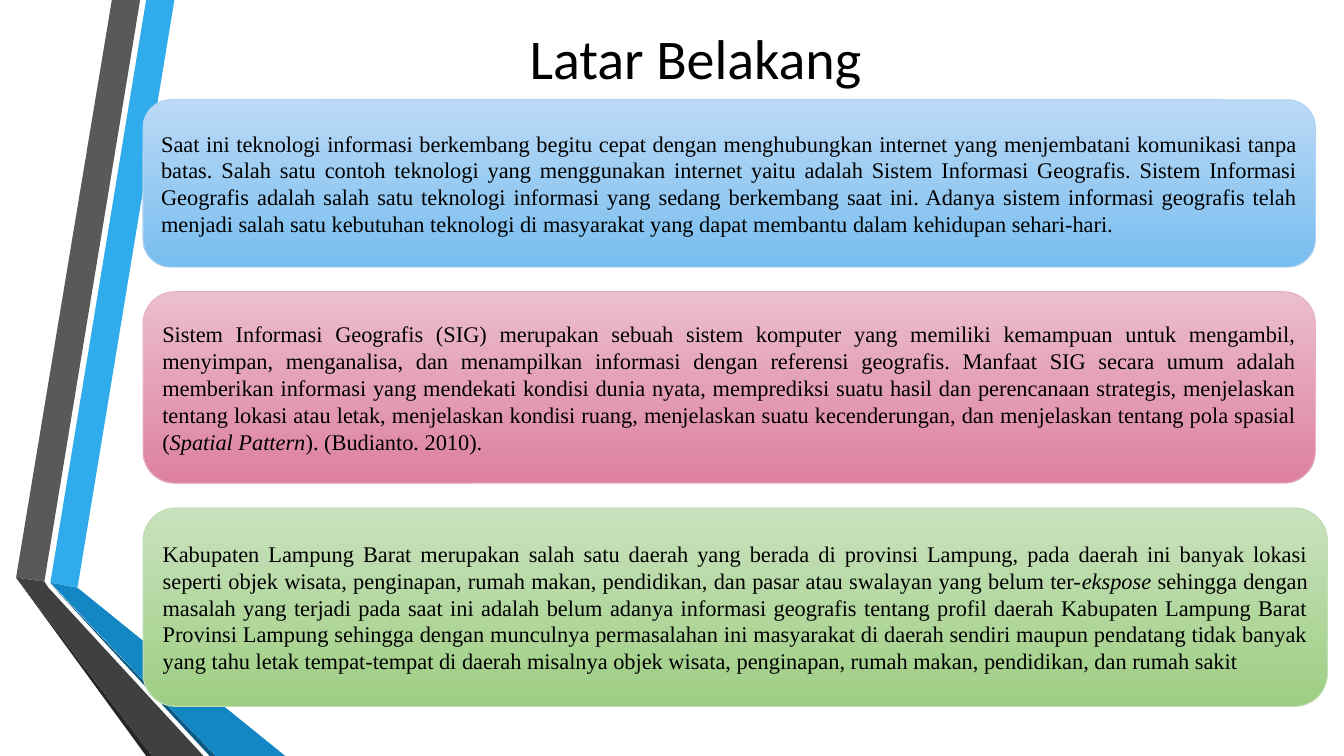
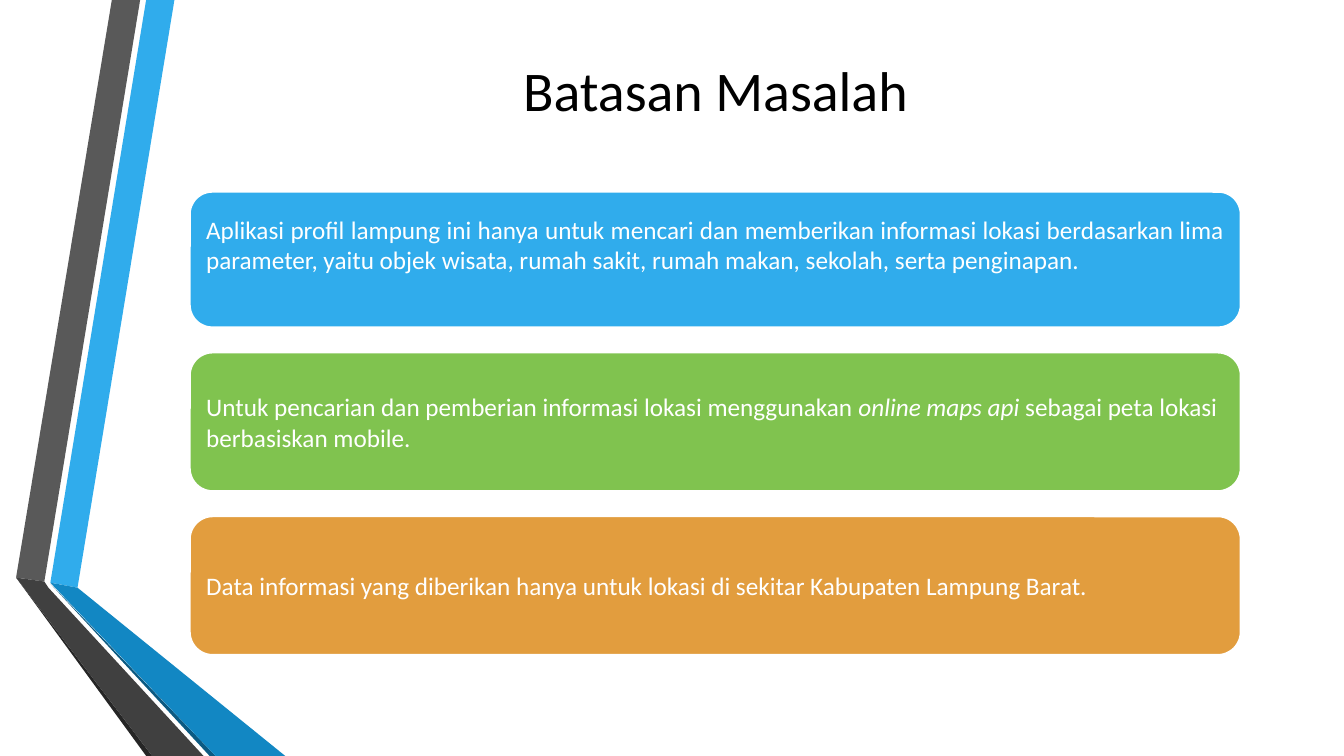
"""Builds two slides of rounded text panels beside a folded ribbon."""
from pptx import Presentation
from pptx.dml.color import RGBColor
from pptx.enum.shapes import MSO_SHAPE as SHAPE
from pptx.enum.text import MSO_ANCHOR as ANCHOR, PP_ALIGN as ALIGN
from pptx.util import Pt

COLORS = {
    "black": "000000", "white": "FFFFFF",
    "sky": "30ACEC", "gray": "595959", "coal": "262626",
    "navy": "0C5A82", "ocean": "1287C3", "slate": "404040",
    "green": "80C34F", "orange": "E29D3E",
    "blue_top": "BCDAF6", "blue_end": "78BDEF", "blue_line": "AED2F4",
    "pink_top": "EBBECD", "pink_end": "DD80A2", "pink_line": "E8B1C3",
    "leaf_top": "C9E2BE", "leaf_end": "9ECE83", "leaf_line": "C0DEB3",
}

RIBBONS = [
    ("sky", [(36, 416.2), (55.4, 419.8), (124.6, 0), (104.4, 0)]),
    ("gray", [(100.1, 0), (79.9, 0), (11.5, 412.6), (31.7, 415.4)]),
    ("coal", [(11.5, 412.6), (104.4, 540), (108.7, 540)]),
    ("navy", [(36, 416.9), (149.8, 540), (154.1, 540)]),
    ("ocean", [(36, 416.2), (154.1, 540), (203.8, 540), (55.4, 419.8)]),
    ("slate", [(145.4, 540), (34.6, 419.8), (31.7, 415.4), (11.5, 412.6),
               (108.7, 540)]),
]

TITLE_FONT = {"name": "Calibri", "size": Pt(40), "color": "black"}
SERIF = {"name": "Times New Roman", "size": Pt(16), "color": "black"}
SANS = {"name": "Calibri", "size": Pt(18), "color": "white"}

SLIDES = [
    {
        "title": "Latar Belakang", "title_box": (102.2, 12.2, 789.1, 57.6),
        "font": SERIF, "left": 102.2, "top": 71.3, "gap": 17.6, "line": 0.75,
        "panels": [
            {"width": 837.4, "height": 119.5, "align": ALIGN.JUSTIFY,
             "fill": ("blue_top", "blue_end"), "line": "blue_line",
             "text": "Saat ini teknologi informasi berkembang begitu cepat dengan "
                     "menghubungkan internet yang menjembatani komunikasi tanpa batas. "
                     "Salah satu contoh teknologi yang menggunakan internet yaitu adalah "
                     "Sistem Informasi Geografis. Sistem Informasi Geografis adalah salah "
                     "satu teknologi informasi yang sedang berkembang saat ini. Adanya "
                     "sistem informasi geografis telah menjadi salah satu kebutuhan "
                     "teknologi di masyarakat yang dapat membantu dalam kehidupan "
                     "sehari-hari."},
            {"width": 837.4, "height": 136.8, "align": ALIGN.JUSTIFY,
             "fill": ("pink_top", "pink_end"), "line": "pink_line",
             "text": "Sistem Informasi Geografis (SIG) merupakan sebuah sistem komputer "
                     "yang memiliki kemampuan untuk mengambil, menyimpan, menganalisa, dan "
                     "menampilkan informasi dengan referensi geografis. Manfaat SIG secara "
                     "umum adalah memberikan informasi yang mendekati kondisi dunia nyata, "
                     "memprediksi suatu hasil dan perencanaan strategis, menjelaskan "
                     "tentang lokasi atau letak, menjelaskan kondisi ruang, menjelaskan "
                     "suatu kecenderungan, dan menjelaskan tentang pola spasial "
                     "(*Spatial Pattern*). (Budianto. 2010)."},
            {"width": 846, "height": 141.8, "align": ALIGN.JUSTIFY,
             "fill": ("leaf_top", "leaf_end"), "line": "leaf_line",
             "text": "Kabupaten Lampung Barat merupakan salah satu daerah yang berada di "
                     "provinsi Lampung, pada daerah ini banyak lokasi seperti objek wisata, "
                     "penginapan, rumah makan, pendidikan, dan pasar atau swalayan yang "
                     "belum ter-*ekspose *sehingga dengan masalah yang terjadi pada saat "
                     "ini adalah belum adanya informasi geografis tentang profil daerah "
                     "Kabupaten Lampung Barat Provinsi Lampung sehingga dengan munculnya "
                     "permasalahan ini masyarakat di daerah sendiri maupun pendatang tidak "
                     "banyak yang tahu letak tempat-tempat di daerah misalnya objek wisata, "
                     "penginapan, rumah makan, pendidikan, dan rumah sakit"},
        ],
    },
    {
        "title": "Batasan Masalah", "title_box": (116.6, 7.9, 789.1, 111.6),
        "font": SANS, "left": 135.4, "top": 136.8, "gap": 17.6, "line": 1.75,
        "panels": [
            {"width": 751, "height": 97.2, "align": ALIGN.JUSTIFY, "bottom": 25.6,
             "fill": ("sky",), "line": "white",
             "text": "Aplikasi profil lampung ini hanya untuk mencari dan memberikan "
                     "informasi lokasi berdasarkan lima parameter, yaitu objek wisata, "
                     "rumah sakit, rumah makan, sekolah, serta penginapan."},
            {"width": 751, "height": 99.4, "align": ALIGN.LEFT,
             "fill": ("green",), "line": "white",
             "text": "Untuk pencarian dan pemberian informasi lokasi menggunakan "
                     "*online maps api *sebagai peta lokasi berbasiskan mobile."},
            {"width": 751, "height": 99.4, "align": ALIGN.LEFT,
             "fill": ("orange",), "line": "white",
             "text": "Data informasi yang diberikan hanya untuk lokasi di sekitar "
                     "Kabupaten Lampung Barat."},
        ],
    },
]


def rgb(name):
    return RGBColor.from_string(COLORS[name])


def write(sp, text, font, align, bottom=3.6):
    tf = sp.text_frame
    frame = {"word_wrap": True, "vertical_anchor": ANCHOR.MIDDLE,
             "margin_bottom": Pt(bottom)}
    for key, value in frame.items():
        setattr(tf, key, value)
    p = tf.paragraphs[0]
    p.alignment = align
    for i, part in enumerate(text.split("*")):
        r = p.add_run()
        r.text = part
        for key in ("name", "size"):
            setattr(r.font, key, font[key])
        r.font.italic = i % 2 == 1
        r.font.color.rgb = rgb(font["color"])


def paint(sp, names):
    sp.shadow.inherit = False
    if len(names) == 1:
        sp.fill.solid()
        sp.fill.fore_color.rgb = rgb(names[0])
        return
    sp.fill.gradient()
    sp.fill.gradient_angle = 270
    for stop, name in zip(sp.fill.gradient_stops, names):
        stop.color.rgb = rgb(name)


def add_base(prs, title, box):
    s = prs.slides.add_slide(prs.slide_layouts[6])
    for color, points in RIBBONS:
        start, *rest = [(Pt(x), Pt(y)) for x, y in points]
        builder = s.shapes.build_freeform(*start)
        builder.add_line_segments(rest, close=True)
        sp = builder.convert_to_shape()
        paint(sp, (color,))
        sp.line.fill.background()
    write(s.shapes.add_textbox(*map(Pt, box)), title, TITLE_FONT, ALIGN.CENTER)
    return s


def add_panels(s, data):
    top = data["top"]
    for panel in data["panels"]:
        box = (data["left"], top, panel["width"], panel["height"])
        sp = s.shapes.add_shape(SHAPE.ROUNDED_RECTANGLE, *map(Pt, box))
        paint(sp, panel["fill"])
        sp.line.color.rgb = rgb(panel["line"])
        sp.line.width = Pt(data["line"])
        write(sp, panel["text"], data["font"], panel["align"],
              panel.get("bottom", 3.6))
        top += panel["height"] + data["gap"]


def main():
    prs = Presentation()
    prs.slide_width, prs.slide_height = Pt(960), Pt(540)
    for data in SLIDES:
        s = add_base(prs, data["title"], data["title_box"])
        add_panels(s, data)
    prs.save("out.pptx")


if __name__ == "__main__":
    main()
